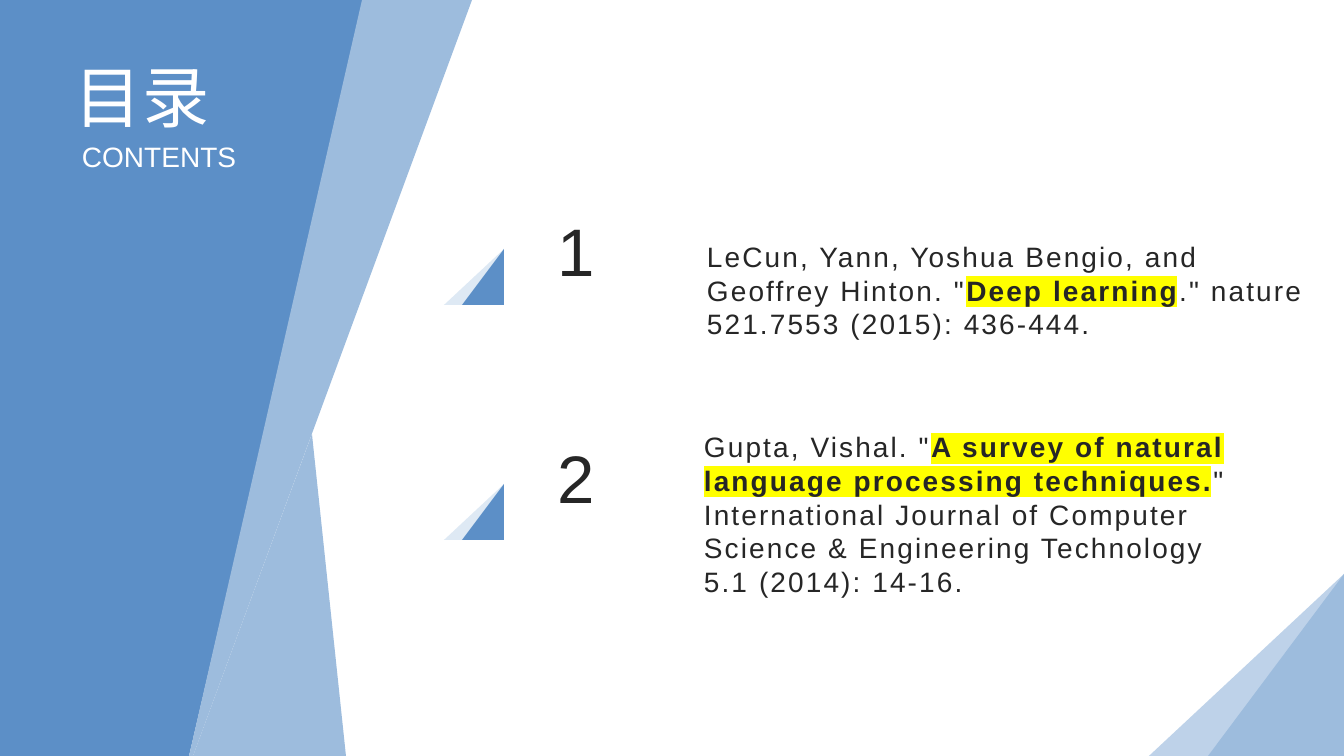
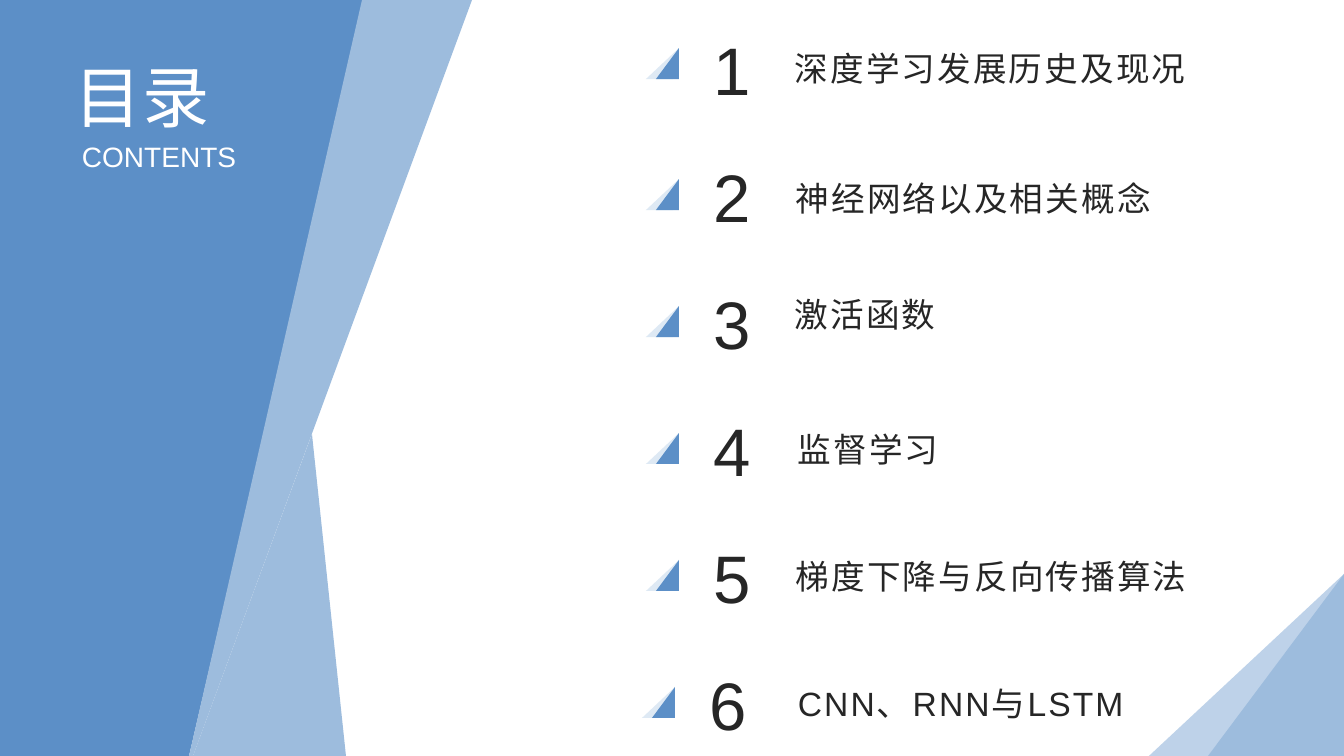
from lxml import etree
from pptx import Presentation
from pptx.dml.color import RGBColor
from pptx.enum.shapes import MSO_SHAPE
from pptx.enum.text import MSO_ANCHOR
from pptx.oxml.ns import qn
from pptx.util import Emu, Pt

TRIANGLE = MSO_SHAPE.ISOSCELES_TRIANGLE
TOP, MIDDLE = MSO_ANCHOR.TOP, MSO_ANCHOR.MIDDLE
PAGE_W, PAGE_H = 1344, 756
SCALE = 12192000 / PAGE_W
FONT = "Arial"
BLUE, SOFT, PALE, MIST = "5C8FC7", "9DBCDD", "BED2E9", "DEE9F4"
WHITE, INK, YELLOW = "FFFFFF", "262626", "FFFF00"

# Content shared by both pages
BANDS = [
    (BLUE, [(0, 0), (365, 0), (189, 756), (0, 756)]),
    (SOFT, [(472, 0), (193, 756), (189, 756), (362, 0)]),
    (SOFT, [(312, 434), (346, 756), (193, 756)]),
]
HEADINGS = [("目录", 48, (65, 50, 160, 92)), ("CONTENTS", 20, (72, 135, 176, 44))]

# References: spans as (text, highlighted), text box, top of number, top of icon
REFERENCES = [
    ([("LeCun, Yann, Yoshua Bengio, and Geoffrey Hinton. \"", False),
      ("Deep learning", True),
      (".\" nature 521.7553 (2015): 436-444.", False)],
     (697, 210, 632, 160), 204, 249),
    ([("Gupta, Vishal. \"", False),
      ("A survey of natural language processing techniques.", True),
      ("\" International Journal of Computer Science & Engineering Technology "
       "5.1 (2014): 14-16.", False)],
     (694, 434, 555, 160), 431, 484),
]

# Topics: text, left, width, text drop, icon drop, shift of number and icon
TOPICS = [
    ("深度学习发展历史及现况", 785, 442, 0, 25, 0),
    ("神经网络以及相关概念", 786, 424, 3, 29, 0),
    ("激活函数", 785, 309, -8, 29, 0),
    ("监督学习", 788, 309, 0, 29, 0),
    ("梯度下降与反向传播算法", 786, 420, 0, 29, 0),
    ("CNN、RNN与LSTM", 788, 388, 0, 29, -4),
]
TOPIC_TOP, TOPIC_STEP, TOPIC_H = 23, 127, 90


def px(value):
    return Emu(round(value * SCALE))


def color(code):
    return RGBColor.from_string(code)


def paint(shape, fill):
    shape.shadow.inherit = False
    shape.fill.solid()
    shape.fill.fore_color.rgb = color(fill)
    shape.line.fill.background()


def add_polygon(page, points, fill):
    builder = page.shapes.build_freeform(*points[0], scale=SCALE)
    builder.add_line_segments(points[1:], close=True)
    paint(builder.convert_to_shape(), fill)


def add_peak(page, right, top, height, back, front):
    """Two triangles that share the apex at (right, top)."""
    base = top + height
    add_polygon(page, [(right, top), (round(right - 0.2 * height), base),
                       (round(right - 1.07 * height), base)], back)
    width = round(0.75 * height)
    peak = page.shapes.add_shape(TRIANGLE, px(right - width), px(top), px(width), px(height))
    peak.adjustments[0] = 1
    paint(peak, front)


def add_text(page, spans, area, size, fill=INK, anchor=TOP, spacing=0):
    box = page.shapes.add_textbox(*map(px, area))
    frame = box.text_frame
    frame.word_wrap = True
    frame.vertical_anchor = anchor
    para = frame.paragraphs[0]
    for text, marked in spans:
        span = para.add_run()
        span.text = text
        for name, value in {"size": Pt(size), "name": FONT, "bold": marked}.items():
            setattr(span.font, name, value)
        span.font.color.rgb = color(fill)
        props = span.font._element
        etree.SubElement(props, qn("a:ea"), typeface=FONT)
        if spacing:
            props.set("spc", str(round(spacing * 100)))
        if marked:
            highlight = etree.Element(qn("a:highlight"))
            etree.SubElement(highlight, qn("a:srgbClr"), val=YELLOW)
            props.find(qn("a:solidFill")).addnext(highlight)


def add_page(deck):
    page = deck.slides.add_slide(deck.slide_layouts[6])
    add_peak(page, PAGE_W, 574, 182, PALE, SOFT)
    for fill, points in BANDS:
        add_polygon(page, points, fill)
    for text, size, area in HEADINGS:
        add_text(page, [(text, False)], area, size, WHITE)
    return page


def add_number(page, number, area):
    add_text(page, [(str(number), False)], area, 48)


def build_references(deck):
    page = add_page(deck)
    for number, (spans, area, number_top, icon_top) in enumerate(REFERENCES, 1):
        add_number(page, number, (548, number_top, 102, 160))
        add_peak(page, 504, icon_top, 56, MIST, BLUE)
        add_text(page, spans, area, 20, anchor=MIDDLE, spacing=1.5)


def build_topics(deck):
    page = add_page(deck)
    for index, (text, left, width, drop, icon_drop, shift) in enumerate(TOPICS):
        top = TOPIC_TOP + index * TOPIC_STEP
        add_number(page, index + 1, (704 + shift, top, 56, TOPIC_H))
        add_peak(page, 679 + shift, top + icon_drop, 31, MIST, BLUE)
        add_text(page, [(text, False)], (left, top + drop, width, TOPIC_H), 24,
                 anchor=MIDDLE, spacing=1.5)


def main():
    deck = Presentation()
    deck.slide_width, deck.slide_height = px(PAGE_W), px(PAGE_H)
    build_references(deck)
    build_topics(deck)
    deck.save("out.pptx")


if __name__ == "__main__":
    main()
